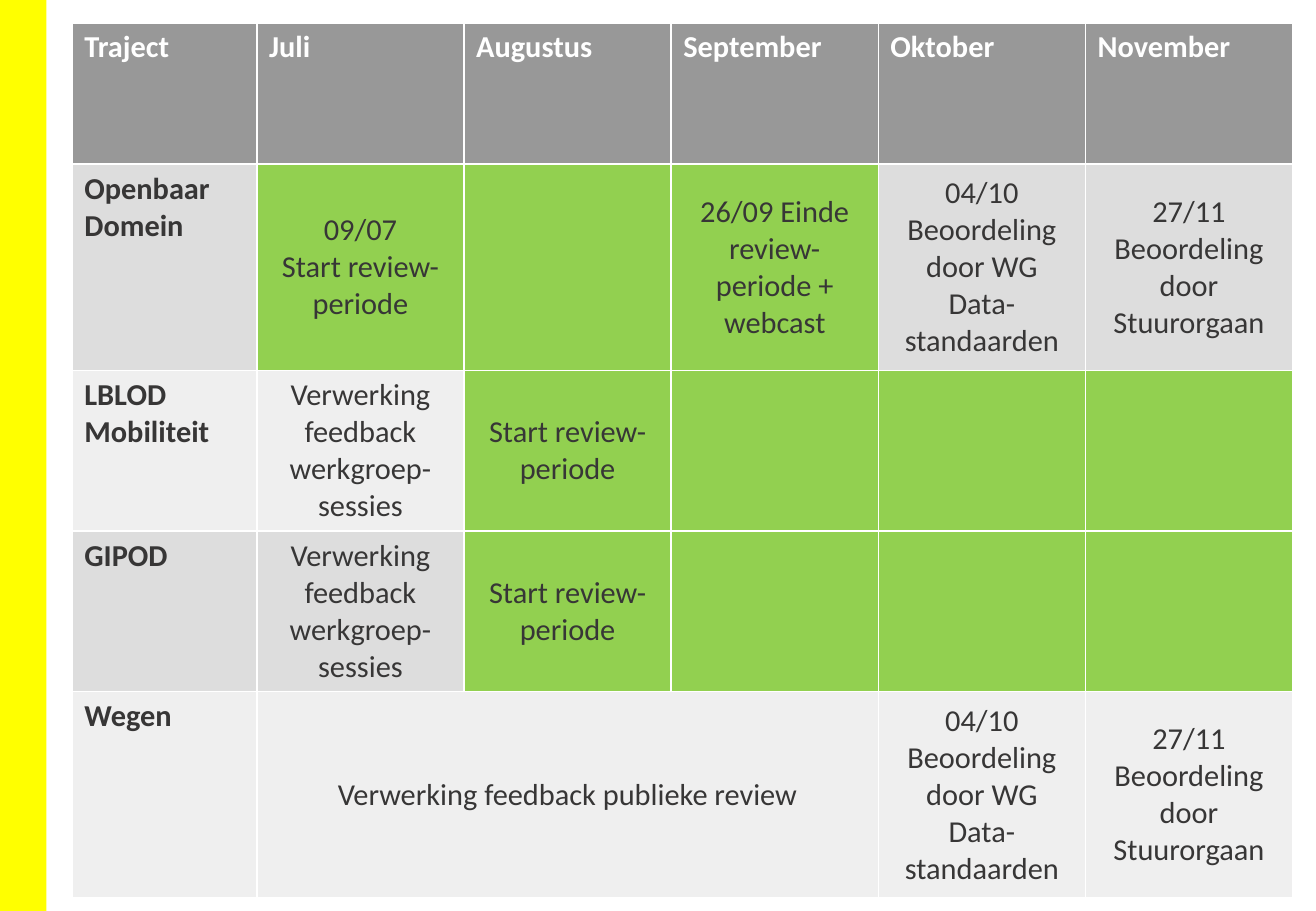
from pptx import Presentation
from pptx.dml.color import RGBColor
from pptx.enum.shapes import MSO_SHAPE
from pptx.enum.text import MSO_ANCHOR, PP_ALIGN
from pptx.util import Cm, Pt

RECTANGLE = MSO_SHAPE.RECTANGLE
MIDDLE = MSO_ANCHOR.MIDDLE
CENTER = PP_ALIGN.CENTER
LEFT = PP_ALIGN.LEFT

COLORS = {
    "bar": "FFFF00",
    "header": "989898",
    "header_text": "FFFFFF",
    "text": "373636",
    "odd": "DDDDDD",
    "even": "EFEFEF",
    "review": "92D050",
}

PROCESSING = "Verwerking feedback werkgroep-sessies"
START = "Start review-periode"
WORKGROUP = "04/10 Beoordeling door WG Data-standaarden"
STEERING = "27/11 Beoordeling door Stuurorgaan"

HEADINGS = ["Traject", "Juli", "Augustus", "September", "Oktober", "November"]
TRACKS = [
    (["Openbaar Domein", "09/07\vStart review-periode", "",
      "26/09 Einde review-periode + webcast", WORKGROUP, STEERING], range(1, 4)),
    (["LBLOD Mobiliteit", PROCESSING, START, "", "", ""], range(2, 6)),
    (["GIPOD", PROCESSING, START, "", "", ""], range(2, 6)),
    (["Wegen", "Verwerking feedback publieke review", "", "", WORKGROUP, STEERING], range(0)),
]
COLUMN_WIDTHS = [3.86] + [4.33] * 5
ROW_HEIGHTS = [2.95, 4.32, 2.95, 2.95, 4.32]


def fill_cell(cell, text, fill, color, bold, alignment):
    cell.fill.solid()
    cell.fill.fore_color.rgb = RGBColor.from_string(COLORS[fill])
    if not text:
        return
    cell.text = text
    paragraph = cell.text_frame.paragraphs[0]
    paragraph.alignment = alignment
    paragraph.font.name = "Calibri"
    paragraph.font.size = Pt(18)
    paragraph.font.bold = bold
    paragraph.font.color.rgb = RGBColor.from_string(COLORS[color])
    if alignment == CENTER:
        cell.vertical_anchor = MIDDLE


presentation = Presentation()
presentation.slide_width = Cm(27.51)
presentation.slide_height = Cm(19.05)
slide = presentation.slides.add_slide(presentation.slide_layouts[6])

bar = slide.shapes.add_shape(RECTANGLE, Cm(0), Cm(0), Cm(0.97), Cm(19.05))
bar.shadow.inherit = False
bar.fill.solid()
bar.fill.fore_color.rgb = RGBColor.from_string(COLORS["bar"])
bar.line.fill.background()

table = slide.shapes.add_table(
    len(ROW_HEIGHTS), len(COLUMN_WIDTHS), Cm(1.51), Cm(0.48),
    Cm(sum(COLUMN_WIDTHS)), Cm(sum(ROW_HEIGHTS))).table
for column, width in zip(table.columns, COLUMN_WIDTHS):
    column.width = Cm(width)
for row, height in zip(table.rows, ROW_HEIGHTS):
    row.height = Cm(height)

for column_index, heading in enumerate(HEADINGS):
    fill_cell(table.cell(0, column_index), heading, "header", "header_text", True, LEFT)

for row_index, (texts, review_months) in enumerate(TRACKS, start=1):
    band = "odd" if row_index % 2 else "even"
    for column_index, text in enumerate(texts):
        is_track = column_index == 0
        fill = "review" if column_index in review_months else band
        fill_cell(table.cell(row_index, column_index), text, fill, "text",
                  is_track, LEFT if is_track else CENTER)

table.cell(4, 1).merge(table.cell(4, 3))

presentation.save("out.pptx")
